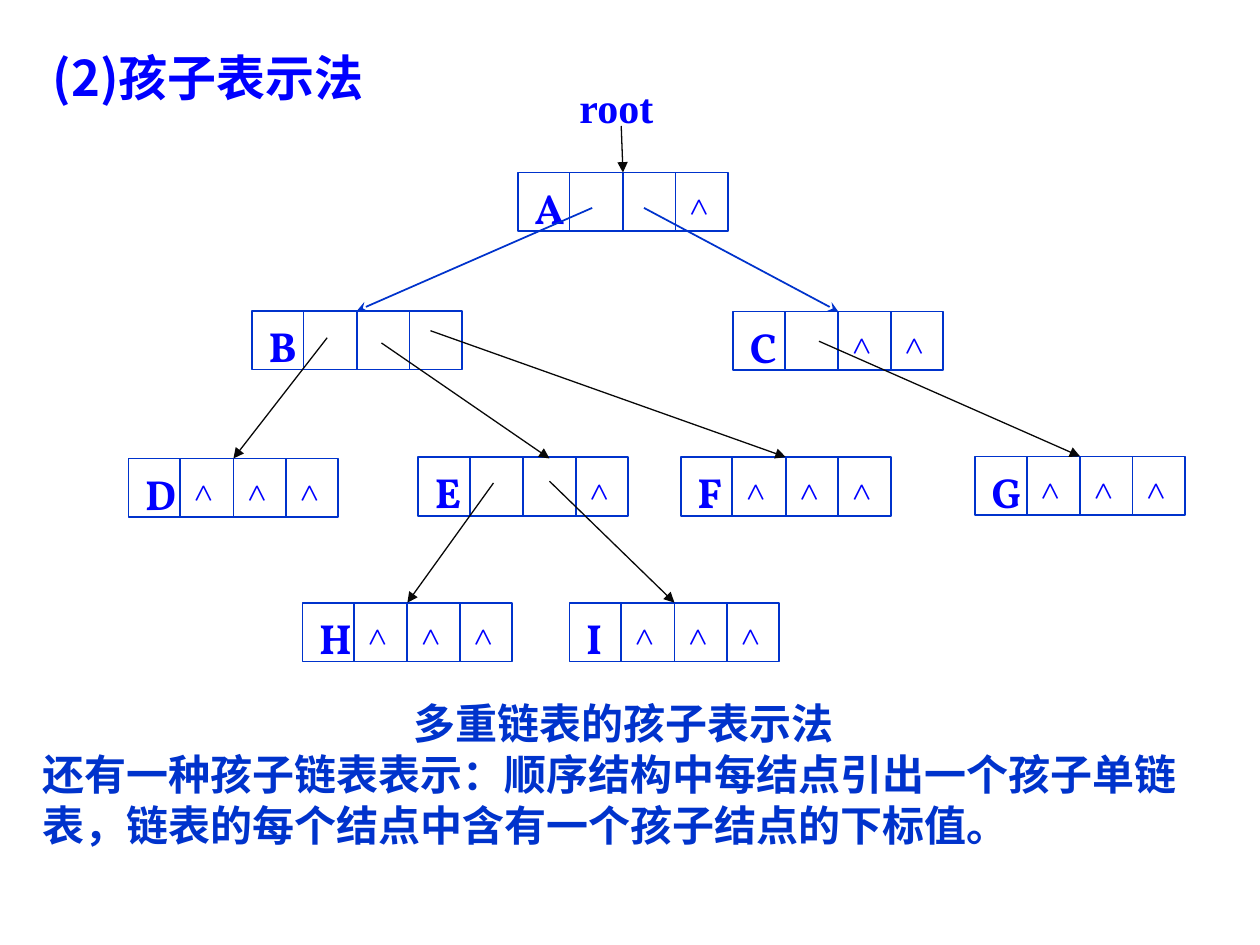
"""Draw a tree stored as a multiple linked list of children."""
from lxml import etree
from pptx import Presentation
from pptx import util as u
from pptx.dml.color import RGBColor
from pptx.enum import shapes, text
from pptx.oxml.ns import qn

HUES = {"text": "0000FF", "line": "0033CC", "link": "080808"}
SANS, SERIF, ROMAN = "Noto Sans CJK SC", "Vollkorn", "Times New Roman"
WIDE, HIGH = 120, 33.6
BARS = (29.5, 60, 90)

NODES = {
    "A": (296, 98.6, "001"),
    "B": (144, 177.6, "000"),
    "C": (419, 178, "011"),
    "D": (73.4, 262, "111"),
    "E": (239, 261.2, "001"),
    "F": (389, 261.2, "111"),
    "G": (557.2, 260.8, "111"),
    "H": (172.8, 344.4, "111"),
    "I": (325.4, 344.4, "111"),
}
LINKS = [
    (187, 193, "D"),
    (246, 189, "F"),
    (468, 195, "G"),
    (282, 276, "H"),
    (314, 275, "I"),
]


def write(para, words, size=24, font=SERIF, hue="text", bold=True,
          align=text.PP_ALIGN.LEFT, pitch=None):
    """Put formatted words in a paragraph."""
    para.alignment = align
    para.space_before = para.space_after = u.Pt(0)
    if pitch:
        para.line_spacing = u.Pt(pitch)
    run = para.add_run()
    run.text = words
    run.font.size, run.font.bold = u.Pt(size), bold
    run.font.color.rgb = RGBColor.from_string(HUES[hue])
    run.font.name = font
    etree.SubElement(run.font._element, qn("a:ea"), typeface=font)


class Deck:
    """Hold the style and the current slide."""

    def __init__(self):
        """Start a deck with one slide."""
        self.show = Presentation()
        self.show.slide_width, self.show.slide_height = u.Pt(720), u.Pt(540)
        self.slide = self.show.slides.add_slide(self.show.slide_layouts[1])

    def frame(self, shape, wrap):
        """Set up the text frame of a shape."""
        body = shape.text_frame
        body.word_wrap = wrap
        body.vertical_anchor = text.MSO_ANCHOR.TOP
        body.auto_size = text.MSO_AUTO_SIZE.SHAPE_TO_FIT_TEXT
        return body

    def place(self, shape, x, y, w, h):
        """Move and size a shape."""
        shape.left, shape.top = u.Pt(x), u.Pt(y)
        shape.width, shape.height = u.Pt(w), u.Pt(h)

    def title(self, words):
        """Fill the title."""
        shape = self.slide.shapes.title
        self.place(shape, 23, 20, 211, 41)
        write(self.frame(shape, False).paragraphs[0], words, size=28,
              font=SANS, pitch=37)

    def body(self, head, note):
        """Fill the body with a centred caption and a note."""
        shape = self.slide.placeholders[1]
        self.place(shape, 17.2, 395, 683.2, 93.6)
        frame = self.frame(shape, True)
        lines = ((frame.paragraphs[0], head, text.PP_ALIGN.CENTER),
                 (frame.add_paragraph(), note, text.PP_ALIGN.LEFT))
        for para, words, align in lines:
            write(para, words, font=SANS, hue="line", align=align, pitch=29)
            props = para._p.get_or_add_pPr()
            props.set("marL", "0")
            props.set("indent", "0")
            etree.SubElement(props, qn("a:buNone"))

    def label(self, words, x, y, w, h, wrap=False, **form):
        """Add a text box."""
        shape = self.slide.shapes.add_textbox(*map(u.Pt, (x, y, w, h)))
        write(self.frame(shape, wrap).paragraphs[0], words, **form)

    def line(self, start, end, hue="line", width=1, head=None,
             top=None, foot=None):
        """Add a line, with an arrowhead and joined ends if given."""
        link = self.slide.shapes.add_connector(
            shapes.MSO_CONNECTOR.STRAIGHT, *map(u.Pt, (*start, *end)))
        if top:
            link.begin_connect(*top)
        if foot:
            link.end_connect(*foot)
        link.line.color.rgb = RGBColor.from_string(HUES[hue])
        link.line.width = u.Pt(width)
        if head:
            etree.SubElement(link.line._get_or_add_ln(), qn("a:tailEnd"),
                             type=head)
        etree.SubElement(link._element.spPr, qn("a:effectLst"))

    def node(self, name, x, y, nulls):
        """Add a node with a name cell and three pointer cells."""
        box = self.slide.shapes.add_shape(
            shapes.MSO_SHAPE.RECTANGLE, *map(u.Pt, (x, y, WIDE, HIGH)))
        box.shadow.inherit = False
        box.fill.background()
        box.line.color.rgb = RGBColor.from_string(HUES["line"])
        box.line.width = u.Pt(1)
        for bar, null in zip(BARS, nulls):
            mid = bar == WIDE / 2
            self.line((x + bar, y), (x + bar, y + HIGH),
                      top=(box, 0) if mid else None,
                      foot=(box, 2) if mid else None)
            if null == "1":
                self.label("∧", x + bar + 1.4, y + 3.2, 27.4, 28.8,
                           size=18, bold=False)
        self.label(name, x + 2.4, y + 2, 32, 36)
        return box


def main():
    """Build and save the slide."""
    deck = Deck()
    deck.title("(2)孩子表示法")
    deck.body("多重链表的孩子表示法 ",
              "还有一种孩子链表表示：顺序结构中每结点引出一个孩子单链表，"
              "链表的每个结点中含有一个孩子结点的下标值。")
    deck.label("root", 324, 43, 84, 36, wrap=True, font=ROMAN)
    boxes = {name: deck.node(name, *spot) for name, spot in NODES.items()}
    for x, name in ((338.4, "B"), (368, "C")):
        deck.line((x, 118.8), (x, 180), head="stealth", foot=(boxes[name], 0))
    dark = {"hue": "link", "width": 0.75, "head": "triangle"}
    deck.line((355, 72), (355, 102), foot=(boxes["A"], 0), **dark)
    for x, y, name in LINKS:
        deck.line((x, y), (x, y), foot=(boxes[name], 0), **dark)
    deck.line((218, 196), (314, 262), **dark)
    deck.show.save("out.pptx")


if __name__ == "__main__":
    main()
